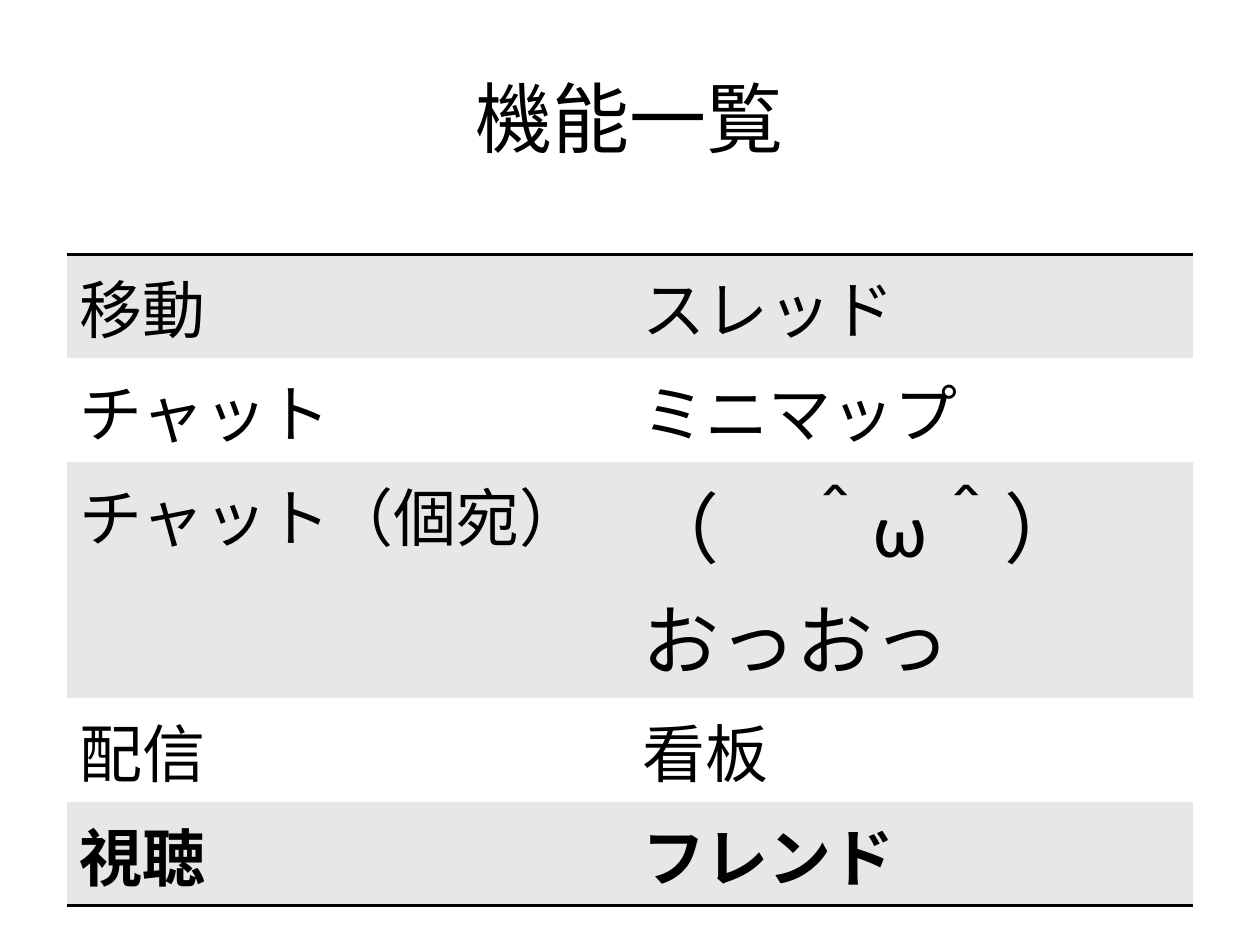
from lxml.etree import SubElement
from pptx import Presentation
from pptx.dml.color import RGBColor
from pptx.enum.text import MSO_ANCHOR, PP_ALIGN
from pptx.oxml.ns import qn
from pptx.util import Pt

EMU_PER_PX = 9144  # 100 px to the inch
FONT = "Calibri"
BLACK, GREY, WHITE = "000000", "E7E7E7", "FFFFFF"
PLAIN_STYLE = "{2D5ABB26-0587-4C30-8999-92F81FD0307C}"  # no style, no grid
FEATURES = [
    ("移動", "スレッド"),
    ("チャット", "ミニマップ"),
    ("チャット（個宛）", "（　＾ω＾）おっおっ"),
    ("配信", "看板"),
    ("視聴", "フレンド"),
]
ROW_HEIGHTS = [75, 75, 107, 75, 75]
LARGE_CELL = (2, 1)


def px(length):
    return length * EMU_PER_PX


def color(value):
    return RGBColor.from_string(value)


def format_text(para, size, bold=False):
    for span in para.runs:
        span.font.name = FONT
        span.font.size = Pt(size)
        span.font.bold = bold
        span.font.color.rgb = color(BLACK)


def add_rule(cell, side):
    """Draw a 2 pt border on one side of a cell: "T" or "B"."""
    properties = cell._tc.get_or_add_tcPr()
    line = SubElement(properties, qn(f"a:ln{side}"), w=str(Pt(2)))
    fill = SubElement(line, qn("a:solidFill"))
    SubElement(fill, qn("a:srgbClr"), val=BLACK)
    properties.insert(0, line)  # borders come before the fill


def place_title(page, left, top, width, height):
    title = page.shapes.title
    title.left, title.top, title.width, title.height = map(px, (left, top, width, height))
    title.text_frame.text = "機能一覧"
    title.text_frame.vertical_anchor = MSO_ANCHOR.MIDDLE
    para = title.text_frame.paragraphs[0]
    para.alignment = PP_ALIGN.CENTER
    format_text(para, 44)


def add_feature_table(page, left, top, width):
    last = len(FEATURES) - 1
    frame = page.shapes.add_table(len(FEATURES), 2, px(left), px(top),
                                  px(width), px(sum(ROW_HEIGHTS)))
    table = frame.table
    table.first_row = False
    table.horz_banding = True
    table._tbl.tblPr.find(qn("a:tableStyleId")).text = PLAIN_STYLE
    for row, (texts, height) in enumerate(zip(FEATURES, ROW_HEIGHTS)):
        table.rows[row].height = px(height)
        for column, text in enumerate(texts):
            cell = table.cell(row, column)
            cell.text_frame.text = text
            size = 44 if (row, column) == LARGE_CELL else 36
            format_text(cell.text_frame.paragraphs[0], size, bold=row == last)
            cell.fill.solid()
            cell.fill.fore_color.rgb = color(WHITE if row % 2 else GREY)
            if row == 0:
                add_rule(cell, "T")
            elif row == last:
                add_rule(cell, "B")


def main():
    deck = Presentation()
    deck.slide_width, deck.slide_height = px(1000), px(750)
    page = deck.slides.add_slide(deck.slide_layouts[5])
    place_title(page, 50, 30, 900, 125)
    add_feature_table(page, 53, 202, 894)
    deck.save("out.pptx")


if __name__ == "__main__":
    main()
